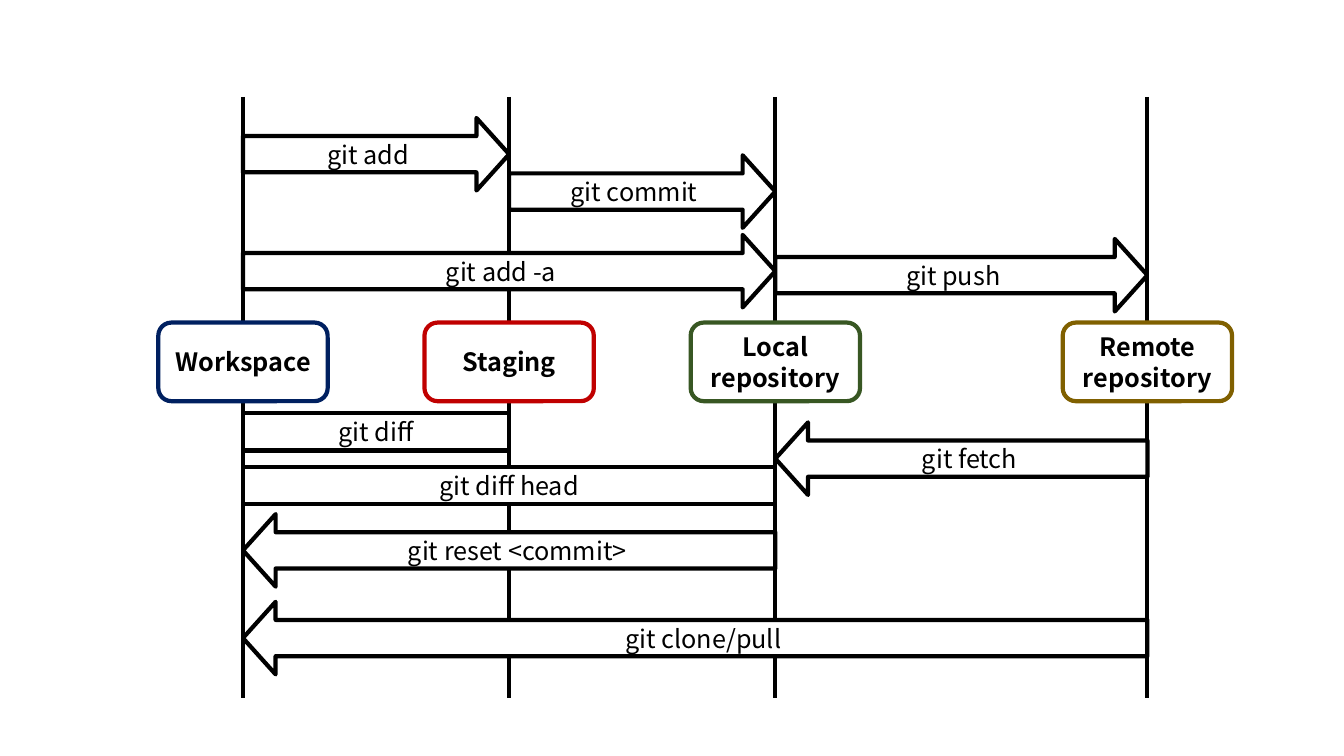
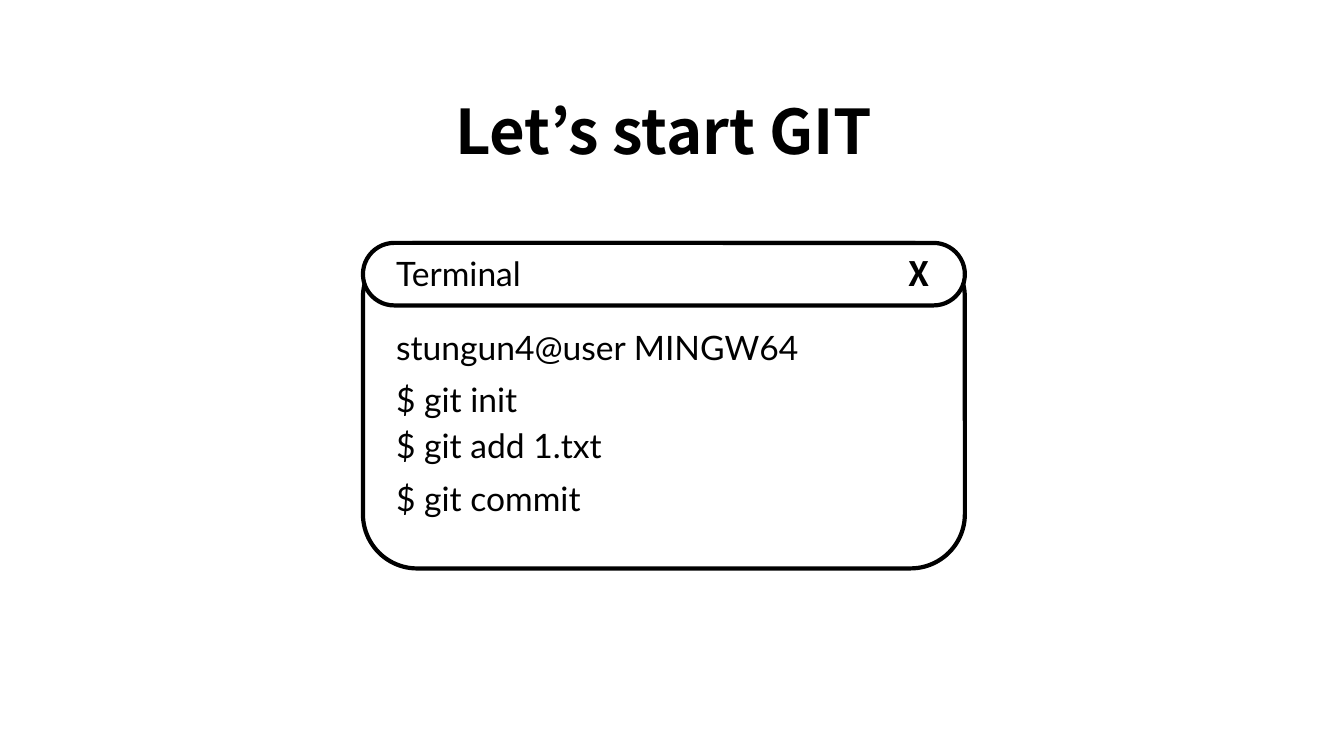
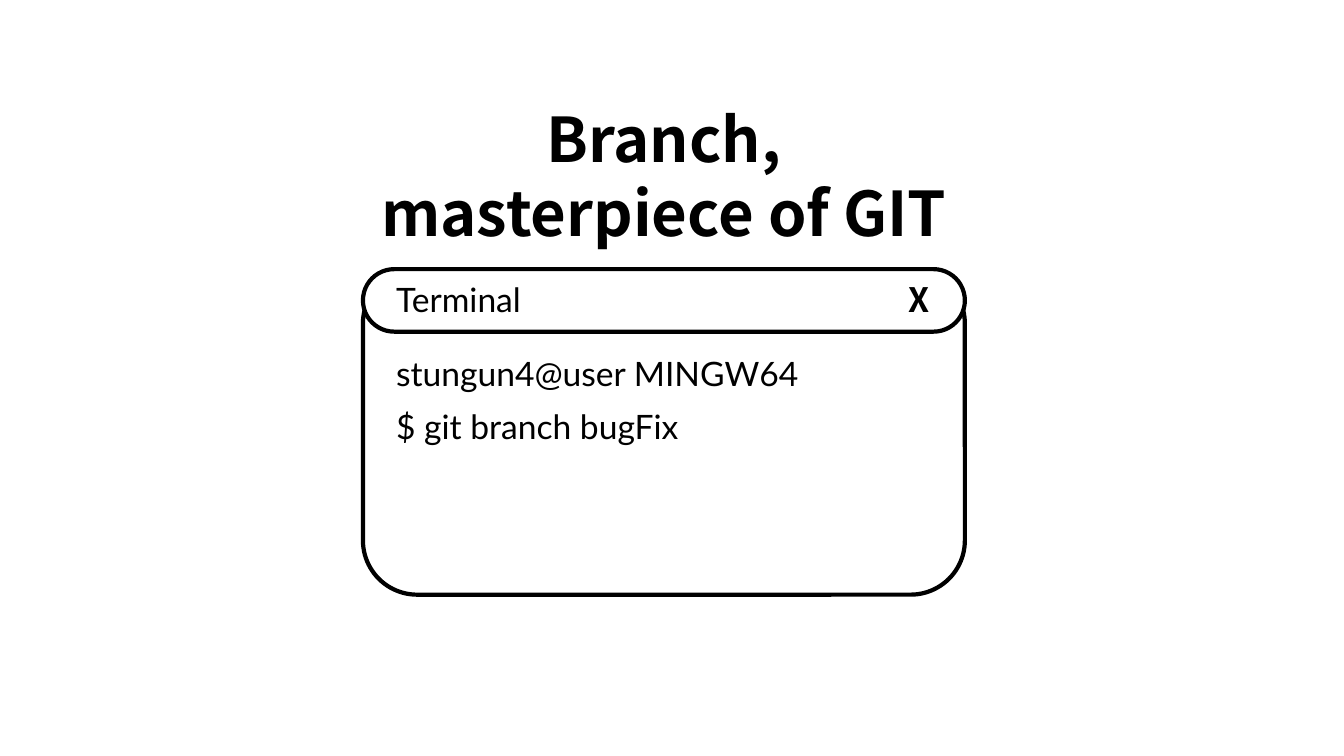
"""Build three slides on Git: a command map and two terminal windows."""
from dataclasses import dataclass
from typing import Any

import pptx
import pptx.dml.color
import pptx.enum.shapes
import pptx.enum.text
import pptx.oxml.ns
import pptx.util

EMU_PER_PX = 9144
LINE_HEIGHT = 1.2
BLACK, WHITE = "000000", "FFFFFF"
SANS, LATO = "Noto Sans CJK JP", "Lato"
SHAPE = pptx.enum.shapes.MSO_SHAPE
LEFT = pptx.enum.text.PP_ALIGN.LEFT
CENTER = pptx.enum.text.PP_ALIGN.CENTER
TOP = pptx.enum.text.MSO_ANCHOR.TOP
MIDDLE = pptx.enum.text.MSO_ANCHOR.MIDDLE


@dataclass(frozen=True)
class TextStyle:
    font: str
    size: int
    bold: bool = False
    align: Any = CENTER
    anchor: Any = TOP


@dataclass(frozen=True)
class Box:
    left: int
    top: int
    width: int
    height: int


@dataclass(frozen=True)
class Stage:
    label: str
    x: int
    color: str


@dataclass(frozen=True)
class Command:
    label: str
    start: int
    end: int
    top: int
    kind: Any = SHAPE.RIGHT_ARROW


@dataclass(frozen=True)
class TerminalPage:
    title: str
    title_box: Box
    window_top: int
    lines: tuple[tuple[str, int], ...]


STAGE_STYLE = TextStyle(SANS, 18, bold=True, anchor=MIDDLE)
COMMAND_STYLE = TextStyle(SANS, 18, anchor=MIDDLE)
TITLE_STYLE = TextStyle(SANS, 44, bold=True)
CLOSE_STYLE = TextStyle(SANS, 24, bold=True)
TERMINAL_STYLE = TextStyle(LATO, 24, align=LEFT)

WORKSPACE, STAGING, LOCAL, REMOTE = 241, 505, 769, 1138
STAGES = (
    Stage("Workspace", WORKSPACE, "002060"),
    Stage("Staging", STAGING, "C00000"),
    Stage("Local\nrepository", LOCAL, "385723"),
    Stage("Remote\nrepository", REMOTE, "806000"),
)
COMMANDS = (
    Command("git add", WORKSPACE, STAGING, 117),
    Command("git commit", STAGING, LOCAL, 154),
    Command("git add -a", WORKSPACE, LOCAL, 233),
    Command("git reset <commit>", WORKSPACE, LOCAL, 510, SHAPE.LEFT_ARROW),
    Command("git push", LOCAL, REMOTE, 237),
    Command("git fetch", LOCAL, REMOTE, 419, SHAPE.LEFT_ARROW),
    Command("git clone/pull", WORKSPACE, REMOTE, 597, SHAPE.LEFT_ARROW),
    Command("git diff head", WORKSPACE, LOCAL, 463, SHAPE.RECTANGLE),
    Command("git diff", WORKSPACE, STAGING, 410, SHAPE.RECTANGLE),
)
PAGES = (
    TerminalPage(
        "Let’s start GIT", Box(398, 87, 521, 84), 241,
        (("$ git init", 130), ("$ git add 1.txt", 176), ("$ git commit", 228)),
    ),
    TerminalPage(
        "Branch,\nmasterpiece of GIT", Box(311, 95, 695, 158), 267,
        (("$ git branch bugFix", 131),),
    ),
)


def px(length: int) -> pptx.util.Emu:
    """Turn pixels into EMU."""
    return pptx.util.Emu(length * EMU_PER_PX)


def rgb(color: str) -> pptx.dml.color.RGBColor:
    """Turn a hex string into a colour."""
    return pptx.dml.color.RGBColor.from_string(color)


def apply(target: Any, values: dict[str, Any]) -> None:
    """Set each named attribute on the target."""
    for name, value in values.items():
        setattr(target, name, value)


def place(box: Box) -> tuple[pptx.util.Emu, ...]:
    """Give the box's position and size in EMU."""
    return px(box.left), px(box.top), px(box.width), px(box.height)


def write(frame: Any, text: str, style: TextStyle) -> None:
    """Fill a text frame, one paragraph per line."""
    apply(frame, {"word_wrap": True, "vertical_anchor": style.anchor})
    frame.text = text
    for paragraph in frame.paragraphs:
        apply(paragraph, {"alignment": style.align,
                          "line_spacing": pptx.util.Pt(style.size * LINE_HEIGHT)})
        for run in paragraph.runs:
            apply(run.font, {"name": style.font, "size": pptx.util.Pt(style.size),
                             "bold": style.bold})
            run.font.color.rgb = rgb(BLACK)


def add_text(slide: Any, box: Box, text: str, style: TextStyle) -> None:
    """Add a text box."""
    write(slide.shapes.add_textbox(*place(box)).text_frame, text, style)


def add_outlined(slide: Any, kind: Any, box: Box, color: str = BLACK) -> Any:
    """Add a white shape with a thick outline."""
    outlined = slide.shapes.add_shape(kind, *place(box))
    outlined.shadow.inherit = False
    outlined.fill.solid()
    outlined.fill.fore_color.rgb = rgb(WHITE)
    outlined.line.color.rgb = rgb(color)
    outlined.line.width = pptx.util.Pt(3)
    return outlined


def add_stage(slide: Any, stage: Stage) -> None:
    """Add a stage's lifeline and its label box."""
    lifeline = slide.shapes.add_connector(
        pptx.enum.shapes.MSO_CONNECTOR.STRAIGHT,
        px(stage.x), px(96), px(stage.x), px(692))
    lifeline.line.color.rgb = rgb(BLACK)
    lifeline.line.width = pptx.util.Pt(3)
    properties = lifeline._element.spPr
    properties.append(properties.makeelement(pptx.oxml.ns.qn("a:effectLst"), {}))
    label = add_outlined(slide, SHAPE.ROUNDED_RECTANGLE,
                         Box(stage.x - 84, 320, 168, 78), stage.color)
    write(label.text_frame, stage.label, STAGE_STYLE)


def add_command(slide: Any, command: Command) -> None:
    """Add a command's arrow or bar between two stages."""
    is_bar = command.kind == SHAPE.RECTANGLE
    box = Box(command.start, command.top, command.end - command.start,
              37 if is_bar else 72)
    span = add_outlined(slide, command.kind, box)
    if not is_bar:
        span.adjustments[0] = 0.5
        span.adjustments[1] = 0.45
    write(span.text_frame, command.label, COMMAND_STYLE)


def add_terminal(slide: Any, page: TerminalPage) -> None:
    """Add a title above a terminal window and its lines."""
    top = page.window_top
    add_outlined(slide, SHAPE.ROUNDED_RECTANGLE, Box(360, top, 597, 323))
    title_bar = add_outlined(slide, SHAPE.ROUNDED_RECTANGLE, Box(360, top, 597, 62))
    title_bar.adjustments[0] = 0.5
    add_text(slide, Box(890, top + 5, 43, 50), "X", CLOSE_STYLE)
    add_text(slide, Box(383, top + 5, 321, 50), "Terminal", TERMINAL_STYLE)
    for line, offset in (("stungun4@user MINGW64", 78), *page.lines):
        add_text(slide, Box(383, top + offset, 525, 50), line, TERMINAL_STYLE)
    add_text(slide, page.title_box, page.title, TITLE_STYLE)


def main() -> None:
    """Build and save the slides."""
    deck = pptx.Presentation()
    apply(deck, {"slide_width": px(1333), "slide_height": px(750)})
    blank = deck.slide_layouts[6]
    command_map = deck.slides.add_slide(blank)
    for stage in STAGES:
        add_stage(command_map, stage)
    for command in COMMANDS:
        add_command(command_map, command)
    for page in PAGES:
        add_terminal(deck.slides.add_slide(blank), page)
    deck.save("out.pptx")


if __name__ == "__main__":
    main()
